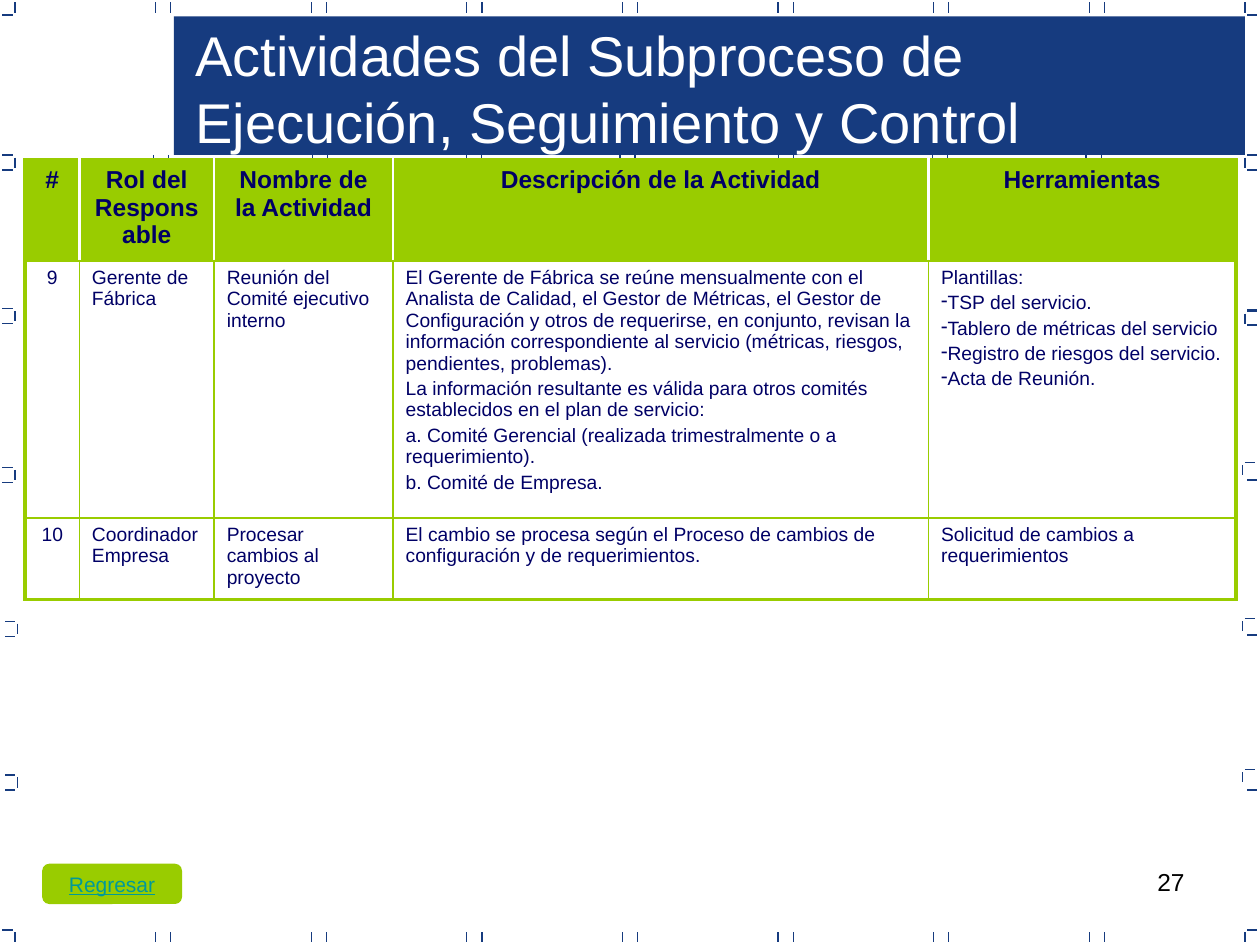
from lxml import etree
from pptx import Presentation
from pptx import util as u
from pptx.dml.color import RGBColor
from pptx.enum import shapes, text
from pptx.oxml.ns import qn

HUE = {"navy": "163B7F", "lime": "99CC00", "ink": "000066",
       "white": "FFFFFF", "black": "000000", "link": "009999"}
LEFT, MID, RIGHT = text.PP_ALIGN.LEFT, text.PP_ALIGN.CENTER, text.PP_ALIGN.RIGHT
TOP = text.MSO_ANCHOR.TOP

deck = Presentation()
deck.slide_width, deck.slide_height = u.Inches(10), u.Inches(7.5)
page = deck.slides.add_slide(deck.slide_layouts[5])
items = page.shapes


def write(frame, words, size=11, hue="ink", bold=False, line=False,
          align=LEFT, anchor=TOP, wrap=True, gap=0):
    """Fill a frame; each item is a paragraph, a leading dash is a bullet."""
    frame.word_wrap = wrap
    frame.vertical_anchor = anchor
    for n, part in enumerate(words):
        para = frame.add_paragraph() if n else frame.paragraphs[0]
        para.alignment = align
        para.space_before = u.Pt(gap)
        run = para.add_run()
        run.text = part.removeprefix("-")
        font = run.font
        font.name, font.size = "Arial", u.Pt(size)
        font.bold, font.underline = bold, line
        font.color.rgb = RGBColor.from_string(HUE[hue])
        if part.startswith("-"):
            props = para._p.get_or_add_pPr()
            props.set("marL", "0")
            props.set("indent", "0")
            etree.SubElement(props, qn("a:buChar"), char="-")


def tick(x, y, flat=False):
    """Draw one short frame mark, across or down."""
    span = 0.08
    ends = (x, y, x + span, y) if flat else (x, y, x, y + span)
    mark = items.add_connector(shapes.MSO_CONNECTOR.STRAIGHT,
                               *[u.Inches(v) for v in ends])
    mark.line.color.rgb = RGBColor.from_string(HUE["navy"])
    mark.line.width = u.Pt(0.75)
    etree.SubElement(mark._element.spPr, qn("a:effectLst"))


# Title band
band = items.add_shape(shapes.MSO_SHAPE.RECTANGLE,
                       *[u.Inches(v) for v in (1.38, 0.13, 8.5, 1.1)])
band.shadow.inherit = False
band.fill.solid()
band.fill.fore_color.rgb = RGBColor.from_string(HUE["navy"])
band.line.fill.background()

# Marks along the top and bottom edges
for y in (0.02, 7.4):
    for col in range(7):
        for off in (0, 0.12):
            tick(1.235 * (col + 1) + off, y)

# Corner marks
for y, edge in ((0.02, 0.12), (7.4, 7.38)):
    for x, side in ((0.12, 0.02), (9.88, 9.9)):
        tick(x, y)
        tick(side, edge, flat=True)

# Brackets down the left edge
for x, y in ((0.02, 1.23), (0.02, 2.45), (0.02, 3.71), (0.04, 4.93), (0.04, 6.15)):
    tick(x + 0.1, y + 0.02)
    for off in (0, 0.12):
        tick(x, y + off, flat=True)

# Brackets down the right edge
for x, y, low in ((9.88, 1.23, 1.35), (9.88, 2.47, 2.58), (9.86, 3.67, 3.81),
                  (9.86, 4.91, 5.04), (9.86, 6.11, 6.27)):
    tick(x, y + 0.02)
    tick(x + 0.02, y, flat=True)
    tick(9.9, low, flat=True)
tick(9.9, 2.46, flat=True)

# Brackets under the band
for x in (1.22, 2.48, 3.7, 4.92, 6.18, 7.4, 8.62):
    for off in (0, 0.12):
        tick(x + off, 1.23)
    tick(x + 0.02, 1.33, flat=True)

# Activity table
rows = [
    [["#"], ["Rol del Responsable"], ["Nombre de la Actividad"],
     ["Descripción de la Actividad"], ["Herramientas"]],
    [["9"], ["Gerente de Fábrica"], ["Reunión del Comité ejecutivo interno"],
     ["El Gerente de Fábrica se reúne mensualmente con el Analista de Calidad, "
      "el Gestor de Métricas, el Gestor de Configuración y otros de requerirse, "
      "en conjunto, revisan la información correspondiente al servicio "
      "(métricas, riesgos, pendientes, problemas).",
      "La información resultante es válida para otros comités establecidos "
      "en el plan de servicio:",
      "a. Comité Gerencial (realizada trimestralmente o a requerimiento).",
      "b. Comité de Empresa."],
     ["Plantillas:", "-TSP del servicio.", "-Tablero de métricas del servicio",
      "-Registro de riesgos del servicio.", "-Acta de Reunión."]],
    [["10"], ["Coordinador Empresa"], ["Procesar cambios al proyecto"],
     ["El cambio se procesa según el Proceso de cambios de configuración "
      "y de requerimientos."],
     ["Solicitud de cambios a requerimientos"]],
]
wide, tall = (0.43, 1.07, 1.42, 4.25, 2.44), (0.8, 2.04, 0.65)
grid = items.add_table(len(tall), len(wide), u.Inches(0.2), u.Inches(1.27),
                       u.Inches(sum(wide)), u.Inches(sum(tall))).table
for c, w in enumerate(wide):
    grid.columns[c].width = u.Inches(w)
for r, h in enumerate(tall):
    grid.rows[r].height = u.Inches(h)
    head = r == 0
    for c, words in enumerate(rows[r]):
        cell = grid.cell(r, c)
        if head:
            cell.fill.solid()
            cell.fill.fore_color.rgb = RGBColor.from_string(HUE["lime"])
        else:
            cell.fill.background()
        write(cell.text_frame, words, size=14 if head else 11, bold=head,
              align=MID if head or c == 0 else LEFT, gap=2.8 if head else 2.2)
        cell.vertical_anchor = TOP
        # Cell borders: thick outside, white between headings
        inner = ("white", 1.5) if head else ("lime", 1)
        outer, rule = ("lime", 2.25), ("lime", 1.5)
        sides = {"lnL": outer if c == 0 else inner,
                 "lnR": outer if c == len(wide) - 1 else inner,
                 "lnT": outer if head else rule,
                 "lnB": outer if r == len(tall) - 1 else rule}
        props = cell._tc.get_or_add_tcPr()
        for n, (tag, (hue, pts)) in enumerate(sides.items()):
            edge = etree.Element(qn("a:" + tag), w=str(u.Pt(pts)))
            fill = etree.SubElement(edge, qn("a:solidFill"))
            etree.SubElement(fill, qn("a:srgbClr"), val=HUE[hue])
            props.insert(n, edge)

# Title, raised above the band
title = items.title
title.left, title.top, title.width, title.height = [
    u.Inches(v) for v in (1.45, 0.11, 8.35, 1.17)]
write(title.text_frame, ["Actividades del Subproceso de Ejecución, Seguimiento y Control"],
      size=32, hue="white")
title.text_frame.auto_size = text.MSO_AUTO_SIZE.NONE
title.element.getparent().append(title.element)

# Back button
back = items.add_shape(shapes.MSO_SHAPE.FLOWCHART_ALTERNATE_PROCESS,
                       *[u.Inches(v) for v in (0.34, 6.86, 1.1, 0.31)])
back.shadow.inherit = False
back.fill.solid()
back.fill.fore_color.rgb = back.line.color.rgb = RGBColor.from_string(HUE["lime"])
back.line.width = u.Pt(0.75)
write(back.text_frame, ["Regresar"], size=12, hue="link", line=True,
      align=MID, anchor=text.MSO_ANCHOR.MIDDLE, wrap=False)

# Page number
num = items.add_textbox(*[u.Inches(v) for v in (7.17, 6.83, 2.33, 0.52)])
write(num.text_frame, ["27"], size=14, hue="black", align=RIGHT)

deck.save("out.pptx")
